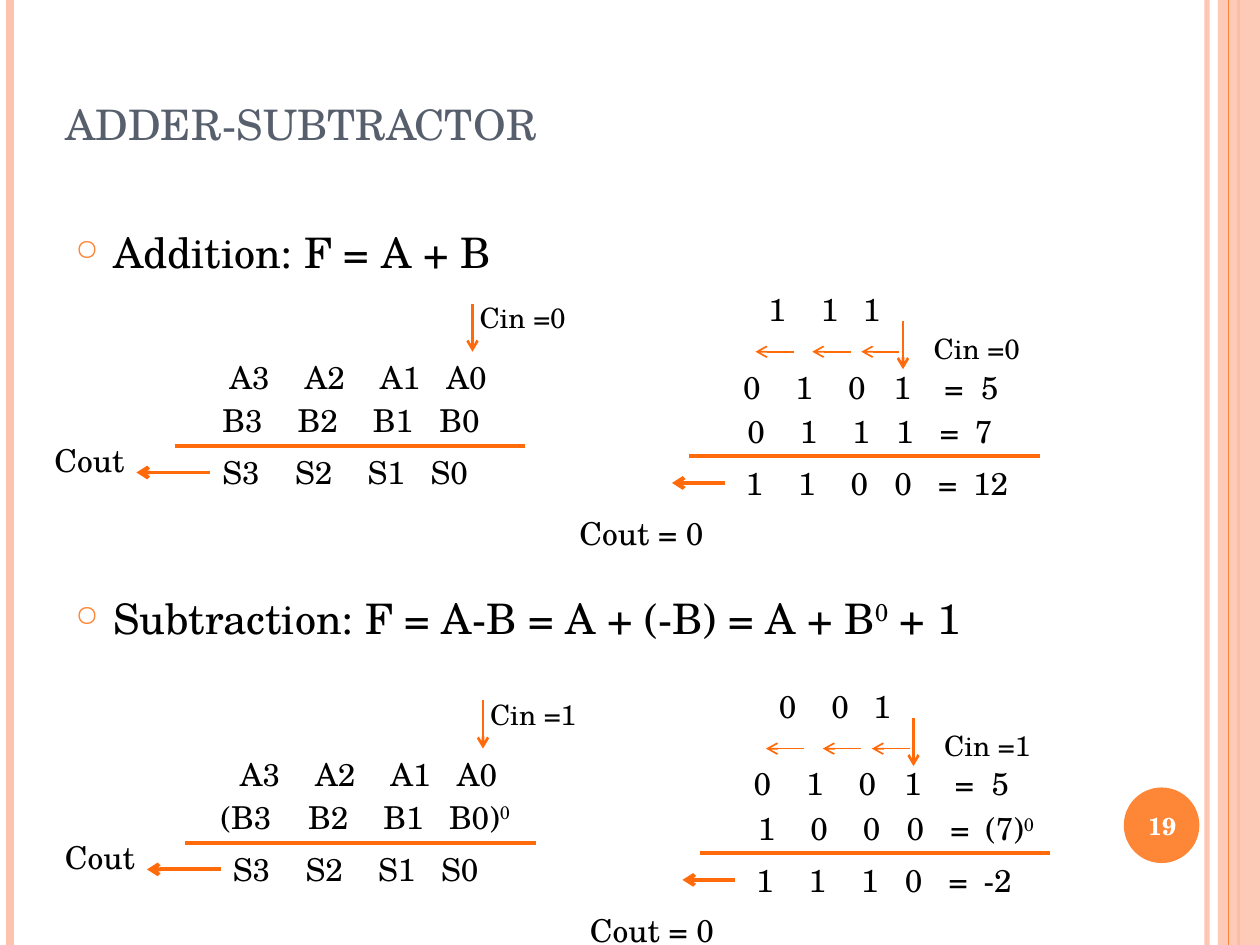
from lxml.etree import SubElement
from pptx import Presentation
from pptx.dml.color import RGBColor
from pptx.enum.shapes import MSO_CONNECTOR as CONN, MSO_SHAPE as SHAPE
from pptx.enum.text import MSO_ANCHOR as ANCHOR, MSO_AUTO_SIZE as FIT, PP_ALIGN as ALIGN
from pptx.oxml.ns import qn
from pptx.util import Pt

THEME = {
    "font": "TeX Gyre Schola",
    "text": "000000", "title": "575F6D", "white": "FFFFFF",
    "orange": "FE8637", "peach": "FEC3AE", "arrow": "FF6B0A",
    "title_size": 30, "body_size": 24, "row_size": 18, "cin_size": 16, "number_size": 14,
    "rule": 2.25, "cin_line": 1.5, "carry_line": 1,
}
WIDTH, HEIGHT = 720, 540

TITLE = "adder-subtractor"
BULLETS = [("Addition: F = A + B", 6),
           ("Subtraction: F = A-B = A + (-B) = A + B^0^ + 1", 180)]
PAGE_NUMBER = "19"

LETTER_TABS, SUM_TABS, PAREN_TABS = (43, 86, 124), (41.5, 83, 119), (50, 93, 130.5)
TOP_TABS, DIGIT_TABS = (30, 60, 86, 115, 136), (30, 60, 85, 110, 130)

PANELS = [
    {"shift": (0, 0), "cin": "Cin =0", "carries": "111",
     "second": ("B3 B2 B1 B0", 120, LETTER_TABS),
     "digits": ["0 1 0 1 = 5", "0 1 1 1 = 7", "1 1 0 0 = 12"]},
    {"shift": (6, 226.8), "cin": "Cin =1", "carries": "001",
     "second": ("(B3 B2 B1 B0)^0", 113, PAREN_TABS),
     "digits": ["0 1 0 1 = 5", "1 0 0 0 = (7)^0", "1 1 1 0 = -2"]},
]
DIGIT_ROWS = [(417.5, 206.5, TOP_TABS), (420, 232, DIGIT_TABS), (419, 261.5, DIGIT_TABS)]
CARRIES = [(432, 453.5), (462, 486), (486, 514)]
CARRY_LENGTH = 21.8
ARROWS = [
    (270, 173.5, 270, 201, "cin_line"), (120, 270, 78, 270, "rule"),
    (516, 183.5, 516, 211, "cin_line"), (414, 276, 384, 276, "rule"),
]
RULES = [(100, 255), (394, 260.5)]
RULE_LENGTH = 200

STRIPES = [(689.8, 3, "peach", 93), (5.8, 4.5, "peach", 100), (707.8, 1.5, "orange", 100)]


def color(name):
    return RGBColor.from_string(THEME[name])


def set_alpha(fill, percent):
    if percent < 100:
        clr = fill._xPr.find(qn("a:solidFill"))[0]
        SubElement(clr, qn("a:alpha"), val=str(percent * 1000))


def write(p, text, size, fill="text", bold=False):
    for i, part in enumerate(text.split("^")):
        if part:
            r = p.add_run()
            r.text = part
            r.font.name, r.font.size, r.font.bold = THEME["font"], Pt(THEME[size]), bold
            r.font.color.rgb = color(fill)
            if i % 2:
                r._r.get_or_add_rPr().set("baseline", "30000")


def add_box(s, x, y, w, h):
    tf = s.shapes.add_textbox(Pt(x), Pt(y), Pt(w), Pt(h)).text_frame
    tf.word_wrap = True
    return tf


def add_label(s, text, x, y, w, size="row_size", tabs=()):
    tf = add_box(s, x, y, w, 28.8 if size == "row_size" else 26.6)
    tf.auto_size = FIT.SHAPE_TO_FIT_TEXT
    p = tf.paragraphs[0]
    if tabs:
        stops = SubElement(p._p.get_or_add_pPr(), qn("a:tabLst"))
        for stop in tabs:
            SubElement(stops, qn("a:tab"), pos=str(Pt(stop)), algn="l")
        text = text.replace(" ", "\t")
    write(p, text, size)


def add_line(s, x1, y1, x2, y2, width, fill="arrow", arrow=False, alpha=100):
    c = s.shapes.add_connector(CONN.STRAIGHT, Pt(x1), Pt(y1), Pt(x2), Pt(y2))
    c.line.width = Pt(width)
    c.line.color.rgb = color(fill)
    set_alpha(c.line.fill, alpha)
    if arrow:
        SubElement(c.line._ln, qn("a:tailEnd"), type="arrow")
    SubElement(c._element.spPr, qn("a:effectLst"))


def add_plain(s, kind, x, y, w, h, fill, alpha=100):
    sp = s.shapes.add_shape(kind, Pt(x), Pt(y), Pt(w), Pt(h))
    sp.shadow.inherit = False
    sp.fill.solid()
    sp.fill.fore_color.rgb = color(fill)
    set_alpha(sp.fill, alpha)
    sp.line.fill.background()


def add_frame(s):
    for x, width, fill, alpha in STRIPES:
        add_line(s, x, 0, x, HEIGHT, width, fill, alpha=alpha)
    add_plain(s, SHAPE.RECTANGLE, 696, 0, 24, HEIGHT, "peach", 87)
    add_line(s, 702, 0, 702, HEIGHT, 0.75, "orange")
    add_plain(s, SHAPE.OVAL, 642.2, 450, 43.2, 43.2, "orange")
    tf = add_box(s, 640.1, 451.4, 48, 41)
    tf.vertical_anchor = ANCHOR.MIDDLE
    p = tf.paragraphs[0]
    p.alignment = ALIGN.CENTER
    write(p, PAGE_NUMBER, "number_size", "white", True)


def add_title(s):
    sp = s.shapes.title
    sp.left, sp.top, sp.width, sp.height = Pt(30), Pt(0), Pt(588), Pt(90)
    tf = sp.text_frame
    tf.auto_size, tf.vertical_anchor = FIT.NONE, ANCHOR.BOTTOM
    p = tf.paragraphs[0]
    p.alignment = ALIGN.LEFT
    write(p, TITLE, "title_size", "title")
    p.runs[0]._r.get_or_add_rPr().set("cap", "small")


def add_bullets(s):
    tf = add_box(s, 36, 126, 594, 263)
    for i, (text, gap) in enumerate(BULLETS):
        p = tf.add_paragraph() if i else tf.paragraphs[0]
        p.space_before = Pt(gap)
        pPr = p._p.get_or_add_pPr()
        pPr.set("marL", str(Pt(21.6)))
        pPr.set("indent", str(-Pt(21.6)))
        SubElement(SubElement(pPr, qn("a:buClr")), qn("a:srgbClr"), val=THEME["orange"])
        SubElement(pPr, qn("a:buSzPct"), val="70000")
        SubElement(pPr, qn("a:buChar"), char="○")
        write(p, text, "body_size")


def add_panel(s, panel):
    dx, dy = panel["shift"]
    second, second_x, second_tabs = panel["second"]
    labels = [
        ("A3 A2 A1 A0", 124, 201, 168, "row_size", LETTER_TABS),
        (second, second_x, 225.5, 184, "row_size", second_tabs),
        ("S3 S2 S1 S0", 120, 255.5, 168, "row_size", SUM_TABS),
        (panel["cin"], 267, 168, 75, "cin_size"),
        ("Cout", 24, 248.5, 66),
        (panel["cin"], 526.5, 186, 75, "cin_size"),
        ("Cout = 0", 324, 290, 96),
    ]
    labels += [(text, x, y, 184, "row_size", tabs)
               for text, (x, y, tabs) in zip(panel["digits"], DIGIT_ROWS)]
    labels += [(digit, x, 162, 18) for digit, (x, _) in zip(panel["carries"], CARRIES)]
    for text, x, y, *rest in labels:
        add_label(s, text, x + dx, y + dy, *rest)
    for x, y in RULES:
        add_line(s, x + dx, y + dy, x + RULE_LENGTH + dx, y + dy, THEME["rule"])
    carry_arrows = [(x, 201, x - CARRY_LENGTH, 201, "carry_line") for _, x in CARRIES]
    for x1, y1, x2, y2, width in ARROWS + carry_arrows:
        add_line(s, x1 + dx, y1 + dy, x2 + dx, y2 + dy, THEME[width], arrow=True)


def main():
    prs = Presentation()
    prs.slide_width, prs.slide_height = Pt(WIDTH), Pt(HEIGHT)
    s = prs.slides.add_slide(prs.slide_layouts[5])
    add_frame(s)
    add_title(s)
    add_bullets(s)
    for panel in PANELS:
        add_panel(s, panel)
    prs.save("out.pptx")


if __name__ == "__main__":
    main()
